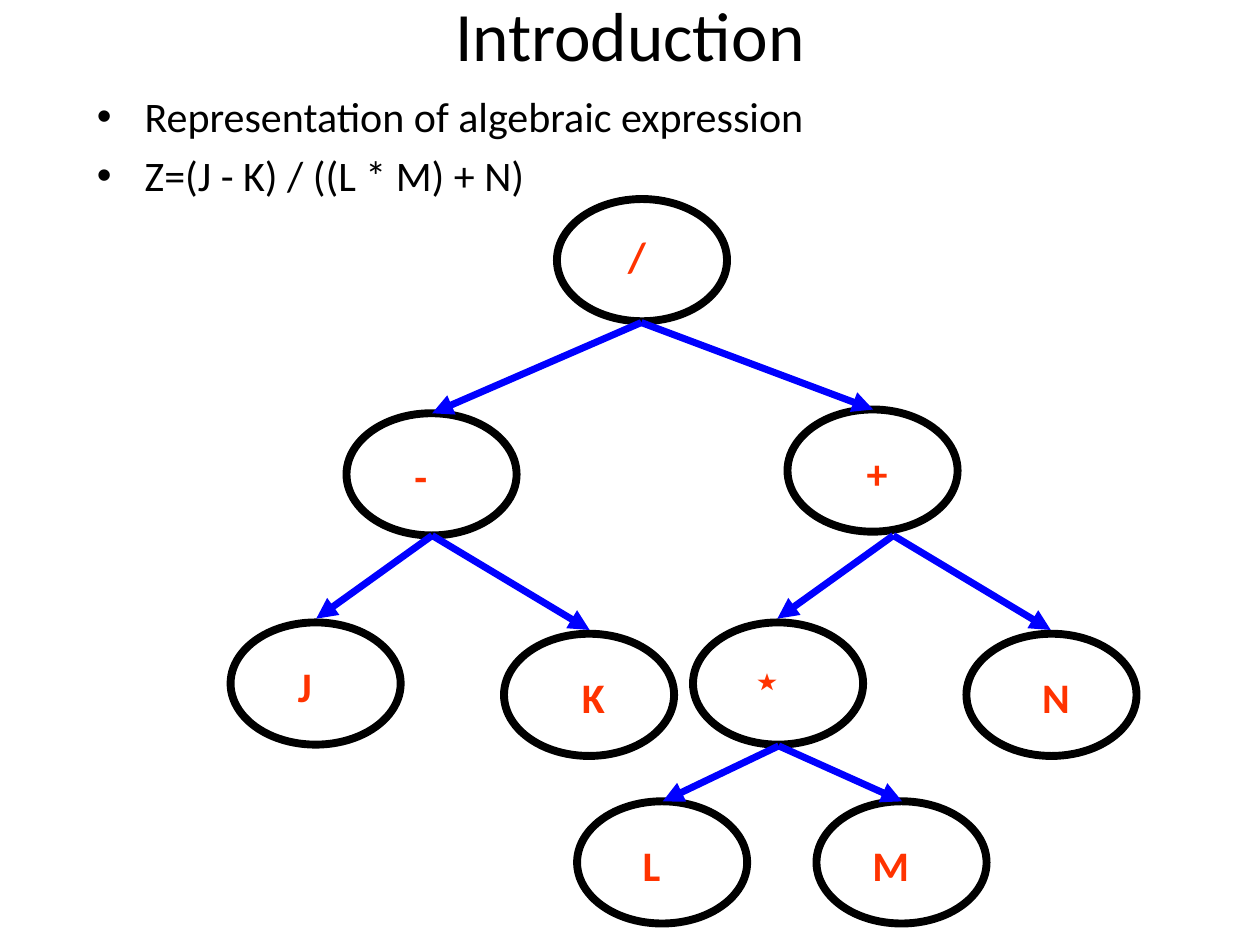
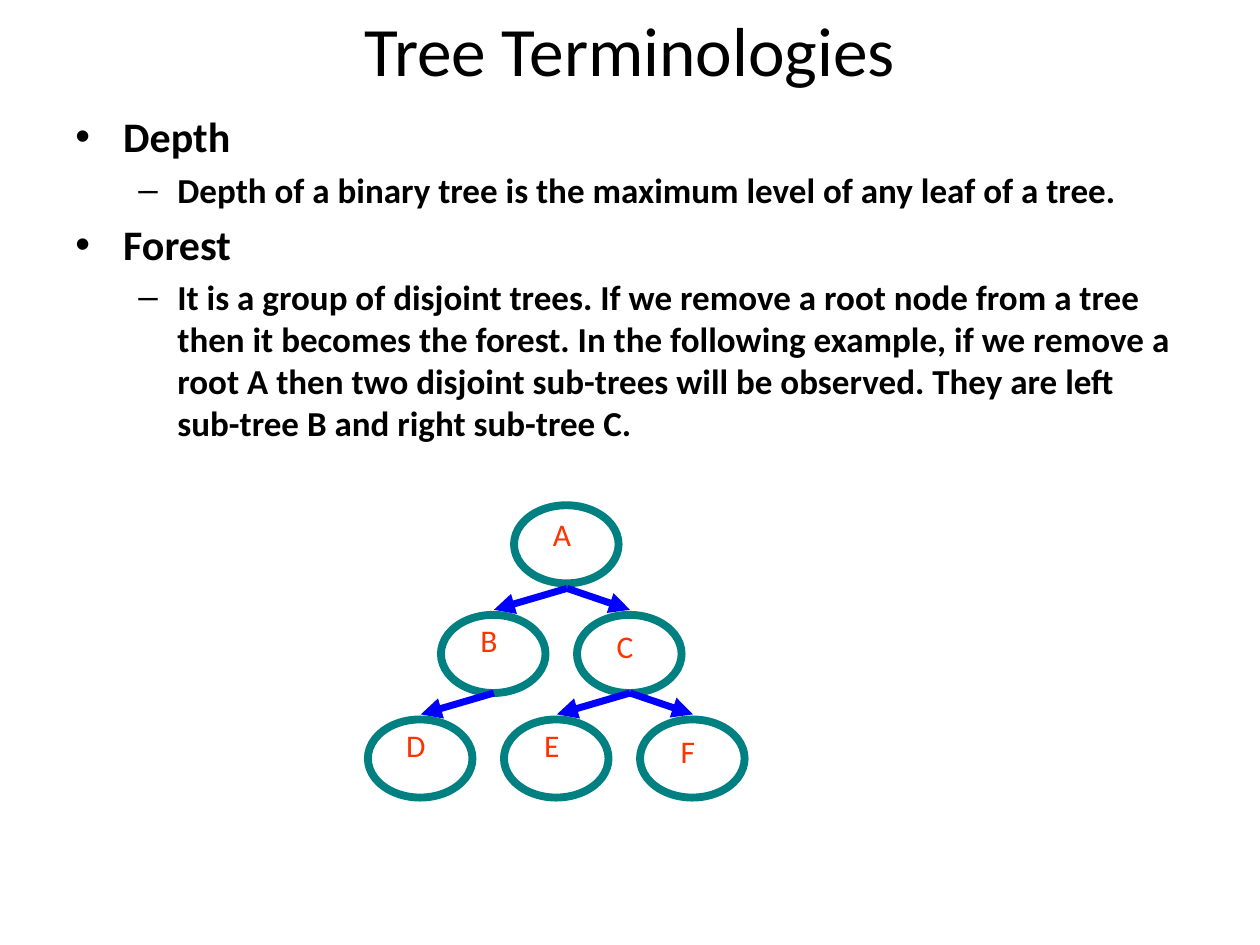
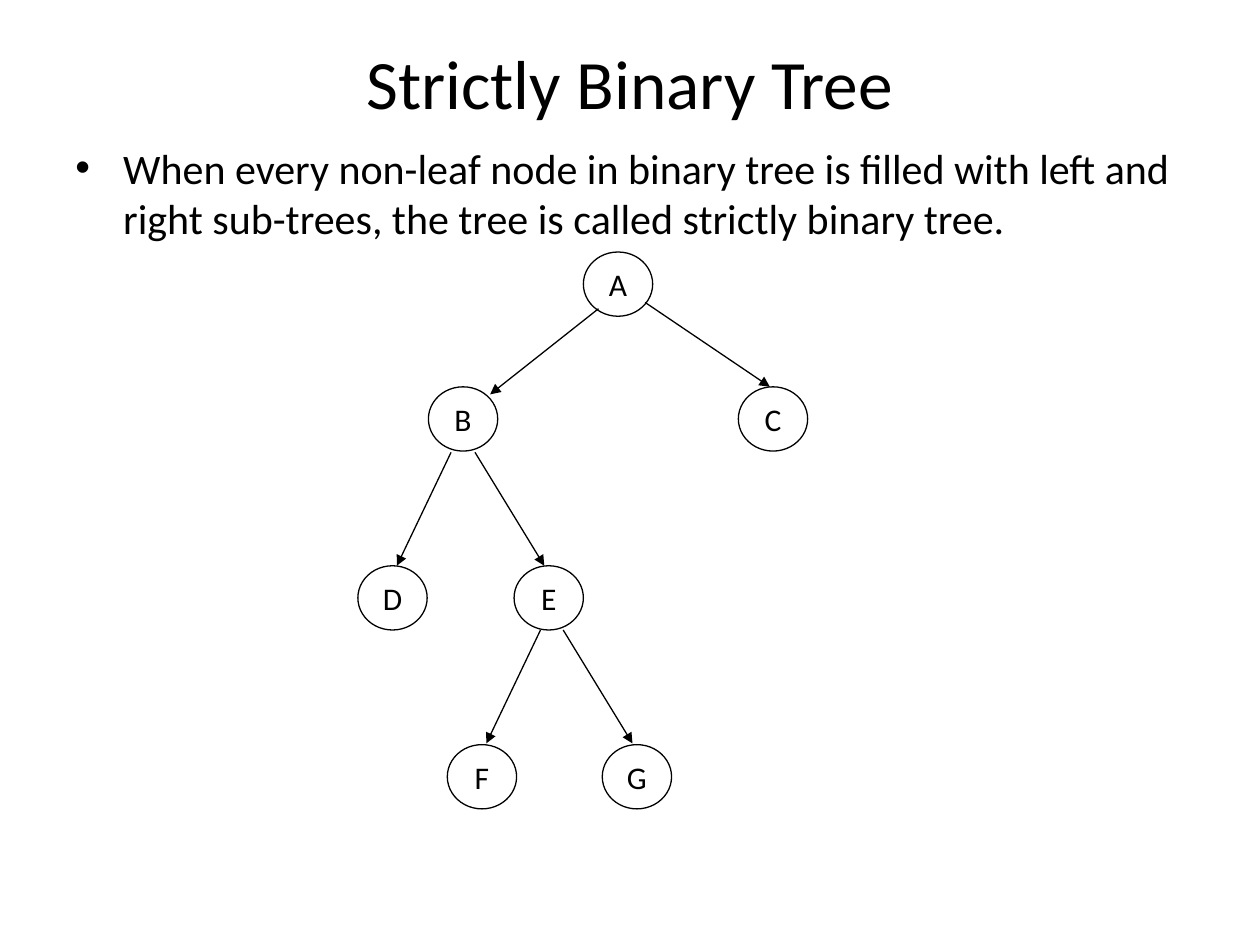
from lxml import etree
from pptx import Presentation
from pptx.dml.color import RGBColor
from pptx.enum.shapes import MSO_CONNECTOR, MSO_SHAPE
from pptx.enum.text import MSO_ANCHOR, PP_ALIGN
from pptx.oxml.ns import qn
from pptx.util import Inches, Pt

OVAL = MSO_SHAPE.OVAL
STRAIGHT = MSO_CONNECTOR.STRAIGHT
CENTER, LEFT = PP_ALIGN.CENTER, PP_ALIGN.LEFT
MIDDLE, TOP = MSO_ANCHOR.MIDDLE, MSO_ANCHOR.TOP

BLACK = RGBColor(0x00, 0x00, 0x00)
BLUE = RGBColor(0x00, 0x00, 0xFF)
TEAL = RGBColor(0x00, 0x80, 0x80)
ORANGE = RGBColor(0xFF, 0x33, 0x00)
FONT = "Calibri"
BULLETS = [("•", 0.38, 0.38, 24), ("–", 0.81, 0.31, 20)]


def write(p, text, size=18, color=BLACK, bold=False, align=LEFT):
    p.alignment = align
    r = p.add_run()
    r.text = text
    r.font.name = FONT
    r.font.size = Pt(size)
    r.font.color.rgb = color
    r.font.bold = bold


def add_box(slide, left, top, width, height, anchor=TOP):
    sp = slide.shapes.add_textbox(Inches(left), Inches(top), Inches(width), Inches(height))
    tf = sp.text_frame
    tf.word_wrap = True
    tf.vertical_anchor = anchor
    return tf


def add_title(slide, text, top, height):
    tf = add_box(slide, 0.5, top, 9, height, MIDDLE)
    write(tf.paragraphs[0], text, size=39.6, align=CENTER)


def add_bullets(slide, items, left, top, height, bold=False):
    tf = add_box(slide, left, top, 9, height)
    for i, (level, text) in enumerate(items):
        char, margin, hang, size = BULLETS[level]
        p = tf.add_paragraph() if i else tf.paragraphs[0]
        p.level = level
        if i:
            p.space_before = Pt(size * 0.2)
        pPr = p._p.get_or_add_pPr()
        pPr.set("marL", str(Inches(margin)))
        pPr.set("indent", str(-Inches(hang)))
        etree.SubElement(pPr, qn("a:buFont"), typeface="Arial")
        etree.SubElement(pPr, qn("a:buChar"), char=char)
        write(p, text, size=size, bold=bold)


def add_node(slide, left, top, width, height, color, weight):
    sp = slide.shapes.add_shape(OVAL, Inches(left), Inches(top), Inches(width), Inches(height))
    sp.shadow.inherit = False
    sp.fill.background()
    sp.line.color.rgb = color
    sp.line.width = Pt(weight)
    return sp.text_frame


def add_arrow(slide, x, y, dx, dy, color, weight):
    line = slide.shapes.add_connector(
        STRAIGHT, Inches(x), Inches(y), Inches(x + dx), Inches(y + dy))
    line.line.color.rgb = color
    line.line.width = Pt(weight)
    etree.SubElement(line.line._get_or_add_ln(), qn("a:tailEnd"), type="triangle")
    etree.SubElement(line._element.spPr, qn("a:effectLst"))


def add_forks(slide, left, top, forks, color, weight):
    for x, y, branches in forks:
        for dx, dy in branches:
            add_arrow(slide, left + x, top + y, dx, dy, color, weight)


def add_outlined_tree(slide, left, top, nodes, forks, node_size, color, size, bold, label_height):
    for text, x, y, label in nodes:
        add_node(slide, left + x, top + y, *node_size, color, 4.5)
        dx, dy, width = label
        tf = add_box(slide, left + x + dx, top + y + dy, width, label_height)
        write(tf.paragraphs[0], text, size=size, color=ORANGE, bold=bold, align=CENTER)
    add_forks(slide, left, top, forks, BLUE, 4)


def add_plain_tree(slide, left, top, nodes, forks):
    for text, x, y in nodes:
        tf = add_node(slide, left + x, top + y, 0.55, 0.51, BLACK, 0.75)
        tf.word_wrap = False
        tf.vertical_anchor = MIDDLE
        write(tf.paragraphs[0], text, align=CENTER)
    add_forks(slide, left, top, forks, BLACK, 0.75)


def introduction(slide):
    add_title(slide, "Introduction", 0, 0.53)
    add_bullets(slide, [
        (0, "Representation of algebraic expression"),
        (0, "Z=(J - K) / ((L * M) + N)"),
    ], 0.67, 0.67, 6.03)
    narrow, wide = (0.25, 0.25, 0.68), (0.17, 0.25, 1.08)
    nodes = [
        ("/", 2.59, 0, (0.16, 0.2, 0.95)),
        ("-", 0.92, 1.7, narrow), ("+", 4.42, 1.67, wide),
        ("J", 0, 3.36, narrow), ("K", 2.17, 3.45, wide),
        ("٭", 3.67, 3.36, narrow), ("N", 5.84, 3.45, wide),
        ("L", 2.75, 4.78, narrow), ("M", 4.65, 4.78, narrow),
    ]
    operands = [(1.25, 0.75), (-0.92, 0.66)]
    forks = [
        (3.26, 0.98, [(1.84, 0.69), (-1.66, 0.72)]),
        (1.6, 2.67, operands),
        (5.26, 2.67, operands),
        (4.35, 4.34, [(0.98, 0.44), (-0.92, 0.44)]),
    ]
    add_outlined_tree(slide, 1.83, 1.58, nodes, forks, (1.35, 0.97), BLACK, 24, True, 0.51)


def terminologies(slide):
    add_title(slide, "Tree Terminologies", 0.08, 0.62)
    add_bullets(slide, [
        (0, "Depth"),
        (1, "Depth of a binary tree is the maximum level of any leaf of a tree."),
        (0, "Forest"),
        (1, "It is a group of disjoint trees. If we remove a root node from a tree then it "
            "becomes the forest. In the following example, if we remove a root A then two "
            "disjoint sub-trees will be observed. They are left sub-tree B and right sub-tree C."),
    ], 0.5, 0.83, 5.87, bold=True)
    high, low = (0.17, 0, 0.42), (0.17, 0.05, 0.42)
    nodes = [
        ("A", 1.16, 0, (0.09, 0.03, 0.58)),
        ("B", 0.58, 0.87, high), ("C", 1.66, 0.87, low),
        ("D", 0, 1.7, high), ("E", 1.08, 1.7, high), ("F", 2.16, 1.7, low),
    ]
    to_left, to_right = (-0.58, 0.17), (0.5, 0.17)
    forks = [
        (1.58, 0.66, [to_right, to_left]),
        (1, 1.49, [to_left]),
        (2.08, 1.49, [to_right, to_left]),
    ]
    add_outlined_tree(slide, 2.92, 4.01, nodes, forks, (0.83, 0.62), TEAL, 18, False, 0.4)


def strictly_binary(slide):
    add_title(slide, "Strictly Binary Tree", 0.3, 0.7)
    add_bullets(slide, [
        (0, "When every non-leaf node in binary tree is filled with left and right "
            "sub-trees, the tree is called strictly binary tree."),
    ], 0.5, 1.08, 5.62)
    nodes = [
        ("A", 1.79, 0), ("B", 0.56, 1.07), ("C", 3.02, 1.07),
        ("D", 0, 2.49), ("E", 1.24, 2.49), ("F", 0.71, 3.91), ("G", 1.94, 3.91),
    ]
    to_left, to_right = (-0.43, 0.9), (0.55, 0.9)
    forks = [
        (1.91, 0.45, [(-0.86, 0.68)]), (2.28, 0.4, [(0.99, 0.67)]),
        (0.74, 1.59, [to_left]), (0.93, 1.59, [to_right]),
        (1.45, 3, [to_left]), (1.63, 3, [to_right]),
    ]
    add_plain_tree(slide, 2.84, 2, nodes, forks)


def main():
    prs = Presentation()
    prs.slide_width, prs.slide_height = Inches(10), Inches(7.5)
    for build in (introduction, terminologies, strictly_binary):
        build(prs.slides.add_slide(prs.slide_layouts[6]))
    prs.save("out.pptx")


if __name__ == "__main__":
    main()
